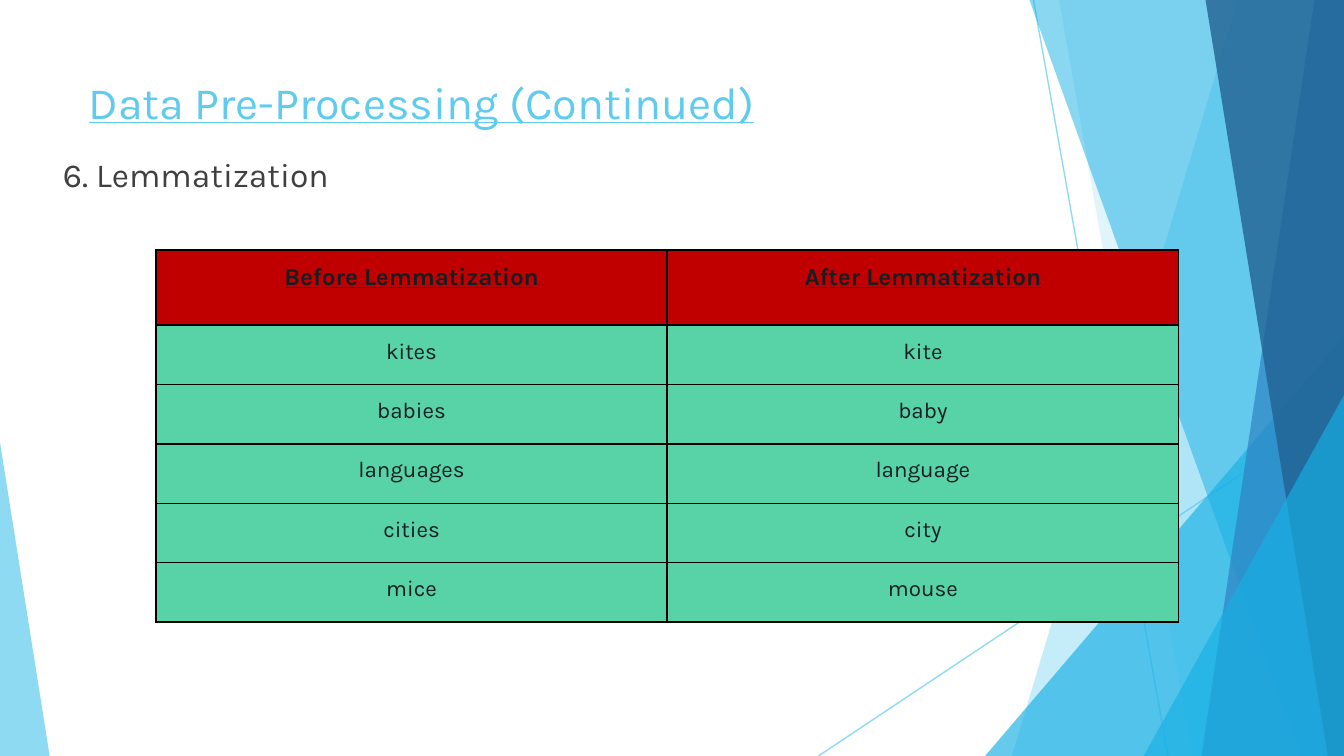
from dataclasses import dataclass

from lxml import etree
from pptx import Presentation
from pptx.dml.color import RGBColor
from pptx.enum.shapes import MSO_CONNECTOR, MSO_SHAPE
from pptx.enum.text import MSO_ANCHOR, PP_ALIGN
from pptx.oxml.ns import qn
from pptx.util import Inches, Pt

STRAIGHT = MSO_CONNECTOR.STRAIGHT
TRIANGLE = MSO_SHAPE.ISOSCELES_TRIANGLE
LEFT, CENTER = PP_ALIGN.LEFT, PP_ALIGN.CENTER
TOP, MIDDLE = MSO_ANCHOR.TOP, MSO_ANCHOR.MIDDLE
TITLE_ONLY = 5
W = 10
H = W * 9 / 16


@dataclass(frozen=True)
class Theme:
    font: str = "Karla"
    sky: str = "5FCBEF"
    cyan: str = "17B0E4"
    blue: str = "2E83C3"
    navy: str = "226292"
    body: str = "404040"
    cell_text: str = "161E22"
    header_fill: str = "C00000"
    row_fill: str = "57D3A7"
    border: str = "000000"
    title_size: float = 24
    body_size: float = 18
    header_size: float = 13
    cell_size: float = 12


THEME = Theme()

ROWS = [
    ("Before Lemmatization", "After Lemmatization"),
    ("kites", "kite"),
    ("babies", "baby"),
    ("languages", "language"),
    ("cities", "city"),
    ("mice", "mouse"),
]


def rgb(color):
    return RGBColor.from_string(color)


def set_alpha(shape, percent):
    """Make the shape's fill, or a connector's line, partly transparent."""
    color = next(shape.element.spPr.iter(qn("a:srgbClr")))
    etree.SubElement(color, qn("a:alpha"), val=str(percent * 1000))


def paint(shape, color, alpha):
    shape.shadow.inherit = False
    shape.fill.solid()
    shape.fill.fore_color.rgb = rgb(color)
    shape.line.fill.background()
    set_alpha(shape, alpha)


def write(tf, text, *, size, color, align=LEFT, bold=False, underline=False):
    p = tf.paragraphs[0]
    p.alignment = align
    r = p.add_run()
    r.text = text
    font = r.font
    font.name, font.size, font.color.rgb = THEME.font, Pt(size), rgb(color)
    font.bold, font.underline = bold, underline


def add_ray(s, start, end):
    line = s.shapes.add_connector(STRAIGHT, *map(Inches, start + end))
    line.line.color.rgb = rgb(THEME.sky)
    line.line.width = Pt(0.75)
    set_alpha(line, 70)
    etree.SubElement(line.element.spPr, qn("a:effectLst"))


def add_band(s, top_x, bottom_x, color, alpha):
    """Fill from a slanted left edge to the slide's right edge."""
    builder = s.shapes.build_freeform(Inches(top_x), 0)
    corners = [(W, 0), (W, H), (bottom_x, H)]
    builder.add_line_segments([(Inches(x), Inches(y)) for x, y in corners])
    paint(builder.convert_to_shape(), color, alpha)


def add_wedge(s, left, top, width, apex, color, alpha):
    """Right triangle on the bottom edge; apex is 0 (left) or 1 (right)."""
    box = map(Inches, (left, top, width, H - top))
    wedge = s.shapes.add_shape(TRIANGLE, *box)
    wedge.adjustments[0] = apex
    paint(wedge, color, alpha)


def add_decoration(s):
    add_ray(s, (7.69, 0), (8.69, H))
    add_ray(s, (W, 3.02), (6.09, H))
    add_band(s, 9.21, 7.53, THEME.sky, 36)
    add_band(s, 7.88, 8.87, THEME.sky, 20)
    add_wedge(s, 7.33, 2.5, W - 7.33, 1, THEME.cyan, 66)
    add_band(s, 7.66, 9.68, THEME.cyan, 50)
    add_band(s, 9.78, 8.94, THEME.blue, 70)
    add_band(s, 8.97, 9.88, THEME.navy, 80)
    add_wedge(s, 8.51, 2.94, W - 8.51, 1, THEME.cyan, 66)
    add_wedge(s, 0, 3.29, 0.37, 0, THEME.sky, 70)


def add_title(s, text):
    title = s.shapes.title
    title.left, title.top = Inches(0.56), Inches(0.5)
    title.width, title.height = Inches(7.05), Inches(0.51)
    title.text_frame.vertical_anchor = MIDDLE
    write(title.text_frame, text, size=THEME.title_size, color=THEME.sky,
          underline=True)


def add_body(s, text):
    box = s.shapes.add_textbox(*map(Inches, (0.37, 1.1, 8.82, 3.86)))
    box.text_frame.word_wrap = True
    write(box.text_frame, text, size=THEME.body_size, color=THEME.body)


def add_borders(cell):
    tc_pr = cell._tc.get_or_add_tcPr()
    for side in ("a:lnL", "a:lnR", "a:lnT", "a:lnB"):
        ln = etree.SubElement(tc_pr, qn(side), w=str(Pt(1)))
        fill = etree.SubElement(ln, qn("a:solidFill"))
        etree.SubElement(fill, qn("a:srgbClr"), val=THEME.border)


def format_cell(cell, text, header):
    add_borders(cell)
    cell.fill.solid()
    cell.fill.fore_color.rgb = rgb(
        THEME.header_fill if header else THEME.row_fill)
    cell.margin_left = cell.margin_right = Inches(0.1)
    cell.margin_top = cell.margin_bottom = Inches(0.1)
    cell.vertical_anchor = TOP
    write(cell.text_frame, text, color=THEME.cell_text, align=CENTER,
          size=THEME.header_size if header else THEME.cell_size,
          bold=header, underline=header)


def add_word_table(s, rows):
    width, height, header_height = 7.61, 2.77, 0.56
    row_height = (height - header_height) / (len(rows) - 1)
    box = map(Inches, (1.16, 1.86, width, height))
    table = s.shapes.add_table(len(rows), len(rows[0]), *box).table
    for i, words in enumerate(rows):
        header = i == 0
        table.rows[i].height = Inches(header_height if header else row_height)
        for j, word in enumerate(words):
            format_cell(table.cell(i, j), word, header)


def main():
    prs = Presentation()
    prs.slide_width, prs.slide_height = Inches(W), Inches(H)
    s = prs.slides.add_slide(prs.slide_layouts[TITLE_ONLY])
    add_decoration(s)
    add_title(s, "Data Pre-Processing (Continued)")
    add_body(s, "6. Lemmatization")
    add_word_table(s, ROWS)
    prs.save("out.pptx")


if __name__ == "__main__":
    main()
